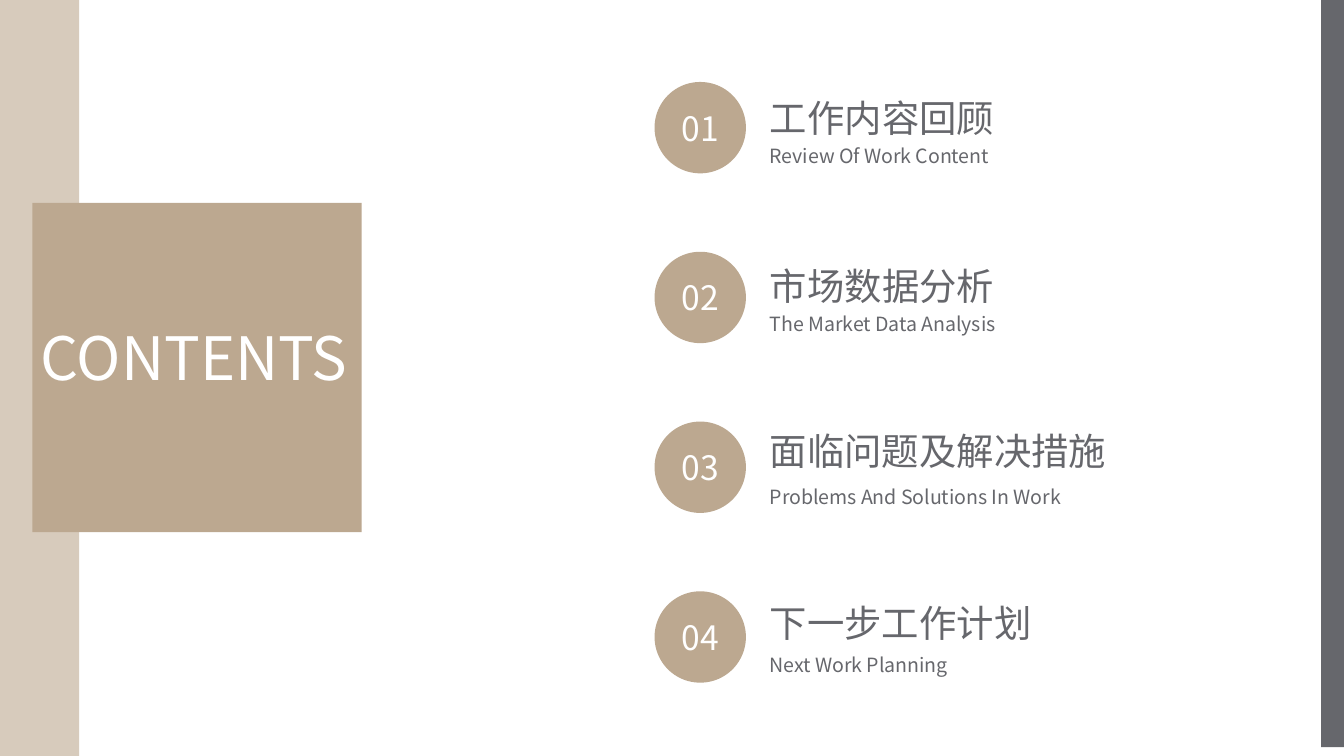
from lxml import etree
from pptx import Presentation
from pptx.dml.color import RGBColor
from pptx.enum.shapes import MSO_SHAPE
from pptx.enum.text import MSO_ANCHOR, MSO_AUTO_SIZE, PP_ALIGN
from pptx.oxml.ns import qn
from pptx.util import Inches, Pt

RECTANGLE, OVAL = MSO_SHAPE.RECTANGLE, MSO_SHAPE.OVAL
LEFT, CENTER = PP_ALIGN.LEFT, PP_ALIGN.CENTER
MIDDLE = MSO_ANCHOR.MIDDLE
FIT_SHAPE = MSO_AUTO_SIZE.SHAPE_TO_FIT_TEXT

# Content: title, title top and width, subtitle, subtitle top and width
HEADING = "CONTENTS"
SECTIONS = [
    ("工作内容回顾", 0.66, 1.88, "Review Of Work Content", 1.02, 2.1),
    ("市场数据分析", 1.91, 1.88, "The Market Data Analysis", 2.27, 2.1),
    ("面临问题及解决措施", 3.14, 2.73, "Problems And Solutions In Work", 3.56, 3.43),
    ("下一步工作计划", 4.42, 2.17, "Next Work Planning", 4.81, 1.94),
]

THEME = {
    "font": "Noto Sans CJK SC",
    "white": "FFFFFF", "sand": "D7CBBC", "tan": "BCA890", "gray": "66676C",
    "heading": 32, "title": 20, "number": 18, "subtitle": 10.5,
}

# Layout in inches, on a 16:9 page
WIDTH = 10
HEIGHT = WIDTH * 9 / 16
CIRCLE_LEFT, CIRCLE_SIZE = 4.87, 0.68
FIRST_CIRCLE, LAST_CIRCLE = 0.61, 4.4
CIRCLE_STEP = (LAST_CIRCLE - FIRST_CIRCLE) / (len(SECTIONS) - 1)
TEXT_LEFT = 5.63


def color(name):
    return RGBColor.from_string(THEME[name])


def write(frame, text, size, color_name, align=LEFT):
    para = frame.paragraphs[0]
    para.text = text
    para.alignment = align
    para.font.size = Pt(THEME[size])
    para.font.color.rgb = color(color_name)
    para.font.name = THEME["font"]
    # East Asian glyphs take their own typeface
    properties = para._p.pPr.find(qn("a:defRPr"))
    etree.SubElement(properties, qn("a:ea"), typeface=THEME["font"])


def add_block(page, kind, left, top, width, height, fill):
    block = page.shapes.add_shape(
        kind, Inches(left), Inches(top), Inches(width), Inches(height))
    block.shadow.inherit = False
    block.fill.solid()
    block.fill.fore_color.rgb = color(fill)
    block.line.fill.background()
    return block


def add_text(page, left, top, width, height, text, size, color_name,
             align=LEFT, wrap=True):
    box = page.shapes.add_textbox(
        Inches(left), Inches(top), Inches(width), Inches(height))
    frame = box.text_frame
    frame.word_wrap = wrap
    frame.auto_size = FIT_SHAPE
    write(frame, text, size, color_name, align)


def main():
    deck = Presentation()
    deck.slide_width, deck.slide_height = Inches(WIDTH), Inches(HEIGHT)
    page = deck.slides.add_slide(deck.slide_layouts[6])
    page.background.fill.solid()
    page.background.fill.fore_color.rgb = color("white")

    # Left band
    add_block(page, RECTANGLE, -0.01, 0, 0.6, 5.69, "sand")

    # Section titles and subtitles
    for title, title_top, title_width, subtitle, subtitle_top, subtitle_width in SECTIONS:
        add_text(page, TEXT_LEFT, title_top, title_width, 0.44,
                 title, "title", "gray", wrap=False)
        add_text(page, TEXT_LEFT, subtitle_top, subtitle_width, 0.28,
                 subtitle, "subtitle", "gray")

    # Section numbers
    for index in range(len(SECTIONS)):
        circle = add_block(page, OVAL, CIRCLE_LEFT, FIRST_CIRCLE + index * CIRCLE_STEP,
                           CIRCLE_SIZE, CIRCLE_SIZE, "tan")
        circle.text_frame.vertical_anchor = MIDDLE
        write(circle.text_frame, f"{index + 1:02d}", "number", "white", CENTER)

    # Right band
    add_block(page, RECTANGLE, 9.83, -0.06, 0.2, 5.62, "gray")

    # Heading square
    add_block(page, RECTANGLE, 0.24, 1.51, 2.45, 2.45, "tan")
    add_text(page, 0.12, 2.34, 2.65, 0.64, HEADING, "heading", "white", CENTER)

    deck.save("out.pptx")


if __name__ == "__main__":
    main()
